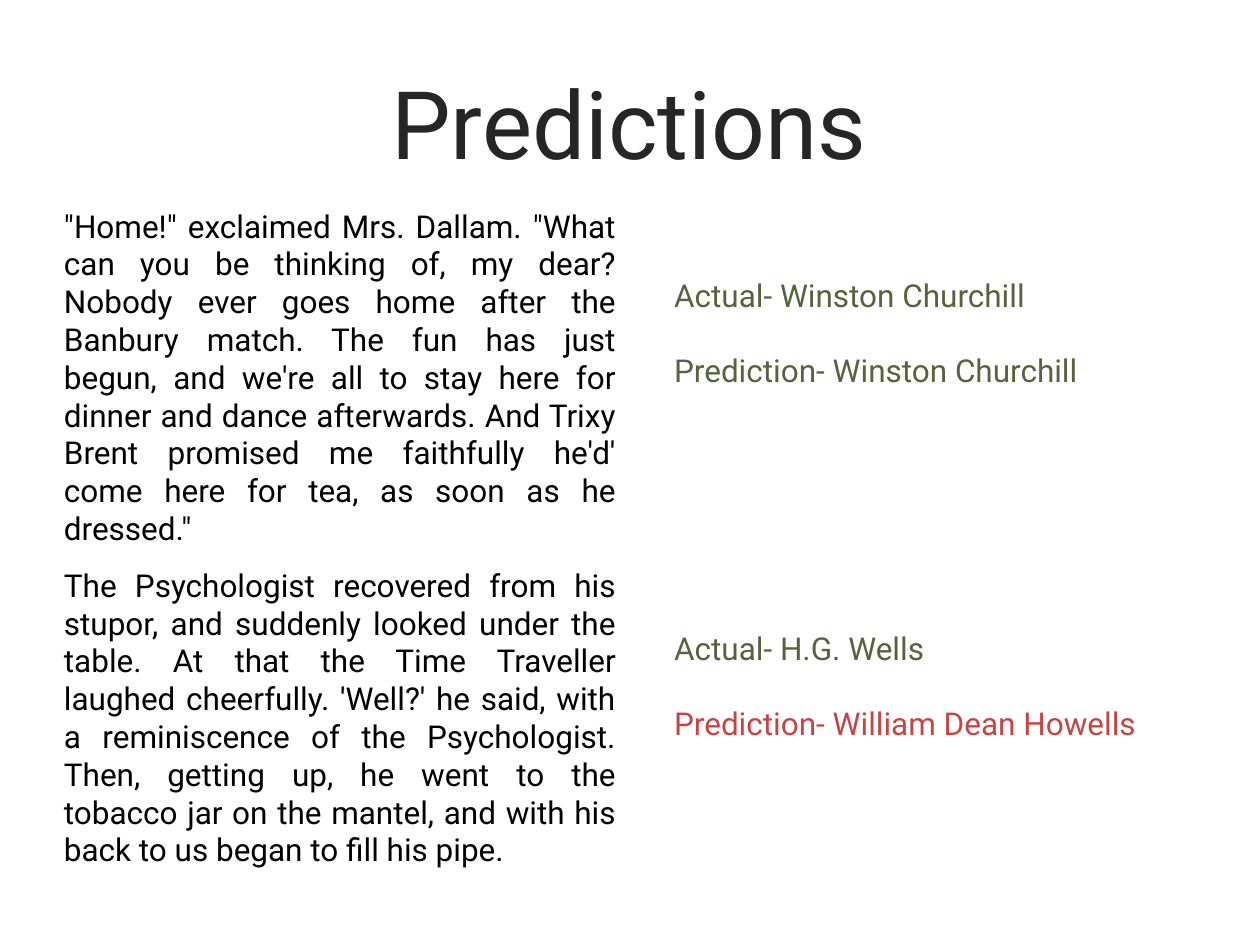
from pptx import Presentation
from pptx.dml.color import RGBColor
from pptx.enum.shapes import MSO_SHAPE as Shape
from pptx.enum.text import MSO_ANCHOR as Anchor, MSO_AUTO_SIZE as AutoSize, PP_ALIGN as Align
from pptx.util import Cm, Pt

FONT = "Roboto"
WHITE, BLACK, DARK = "FFFFFF", "000000", "262626"
GREEN, RED = "56633C", "C74444"

EXAMPLES = [
    (
        4.04, 5.44,
        "\"Home!\" exclaimed Mrs. Dallam. \"What can you be thinking of, my dear? "
        "Nobody ever goes home after the Banbury match. The fun has just begun, "
        "and we're all to stay here for dinner and dance afterwards. And Trixy Brent "
        "promised me faithfully he'd' come here for tea, as soon as he dressed.\"",
        "Winston Churchill", "Winston Churchill",
    ),
    (
        11.28, 12.55,
        "The Psychologist recovered from his stupor, and suddenly looked under the table. "
        "At that the Time Traveller laughed cheerfully. 'Well?' he said, with a reminiscence "
        "of the Psychologist. Then, getting up, he went to the tobacco jar on the mantel, "
        "and with his back to us began to fill his pipe.",
        "H.G. Wells", "William Dean Howells",
    ),
]


def color(value):
    return RGBColor.from_string(value)


class SlideBuilder:
    body_size = 18
    title_size = 54
    answer_gap = 21.5

    def __init__(self, presentation):
        self.slide = presentation.slides.add_slide(presentation.slide_layouts[5])

    def fill_paragraph(self, paragraph, text, size, text_color, align=Align.LEFT):
        paragraph.text = text
        paragraph.alignment = align
        paragraph.font.name = FONT
        paragraph.font.size = Pt(size)
        paragraph.font.color.rgb = color(text_color)

    def title(self, text):
        shape = self.slide.shapes.title
        shape.left, shape.top, shape.width, shape.height = Cm(2), Cm(0.86), Cm(21.36), Cm(3.18)
        frame = shape.text_frame
        frame.auto_size = AutoSize.NONE
        frame.vertical_anchor = Anchor.MIDDLE
        self.fill_paragraph(frame.paragraphs[0], text, self.title_size, DARK, Align.CENTER)

    def passage(self, top, text):
        shape = self.slide.shapes.add_shape(
            Shape.RECTANGLE, Cm(1.04), Cm(top), Cm(11.63), Cm(6.4))
        shape.shadow.inherit = False
        shape.fill.solid()
        shape.fill.fore_color.rgb = color(WHITE)
        shape.line.fill.background()
        frame = shape.text_frame
        frame.word_wrap = True
        frame.auto_size = AutoSize.SHAPE_TO_FIT_TEXT
        frame.vertical_anchor = Anchor.TOP
        self.fill_paragraph(frame.paragraphs[0], text, self.body_size, BLACK, Align.JUSTIFY)

    def answers(self, top, actual, prediction):
        shape = self.slide.shapes.add_textbox(Cm(13.34), Cm(top), Cm(10.03), Cm(2.57))
        frame = shape.text_frame
        frame.word_wrap = True
        frame.auto_size = AutoSize.SHAPE_TO_FIT_TEXT
        self.fill_paragraph(frame.paragraphs[0], f"Actual- {actual}", self.body_size, GREEN)
        paragraph = frame.add_paragraph()
        paragraph.space_before = Pt(self.answer_gap)
        verdict = GREEN if prediction == actual else RED
        self.fill_paragraph(paragraph, f"Prediction- {prediction}", self.body_size, verdict)


def main():
    presentation = Presentation()
    presentation.slide_width, presentation.slide_height = Cm(25.4), Cm(19.05)
    builder = SlideBuilder(presentation)
    builder.title("Predictions")
    for passage_top, answers_top, passage, actual, prediction in EXAMPLES:
        builder.passage(passage_top, passage)
        builder.answers(answers_top, actual, prediction)
    presentation.save("out.pptx")


if __name__ == "__main__":
    main()
